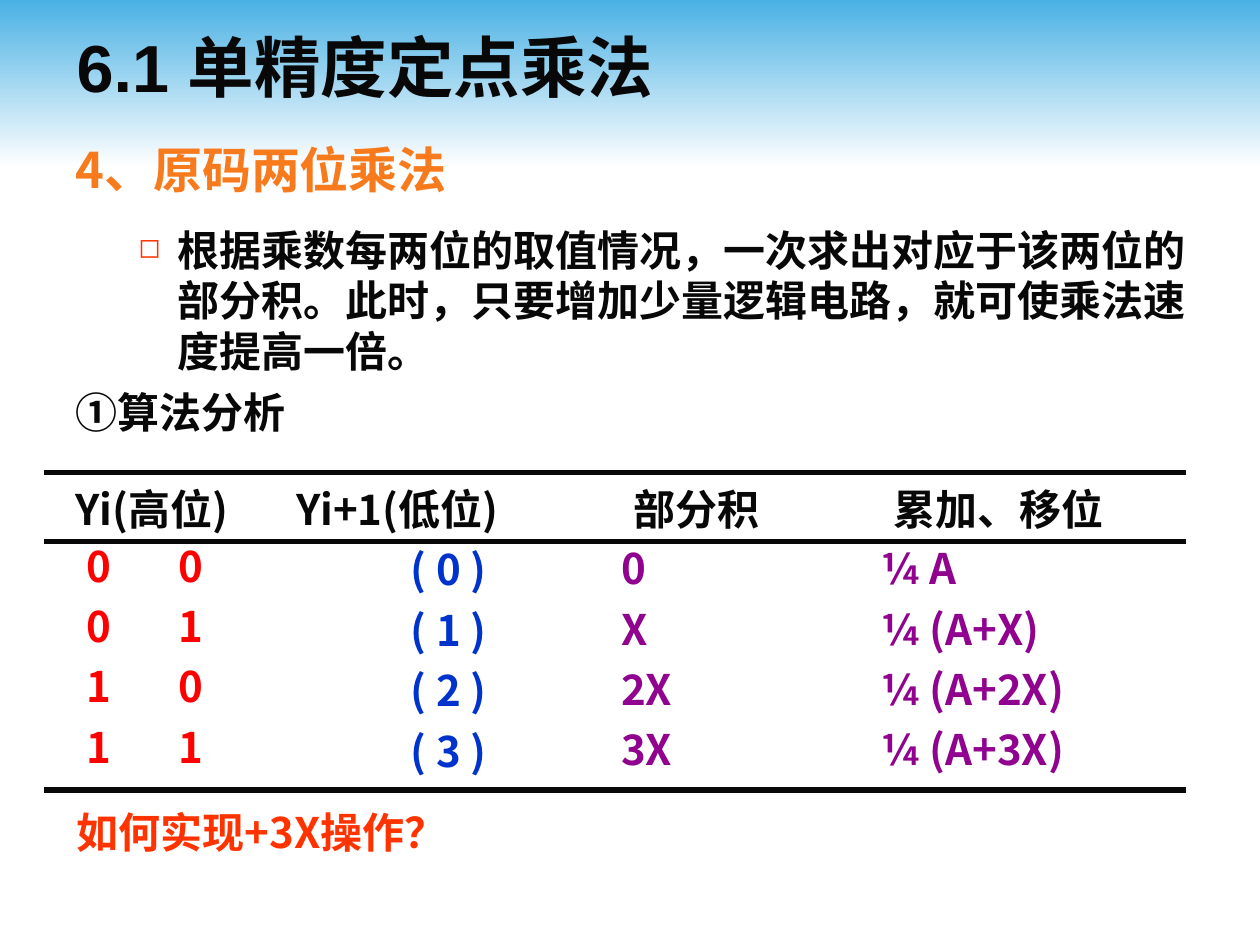
from lxml import etree
from pptx import Presentation, util as u
from pptx.dml.color import RGBColor
from pptx.enum import shapes, text
from pptx.oxml import ns

COLUMNS, ROWS = 100, 75
UNIT = u.Inches(0.1)
FONT = "Noto Sans CJK SC"
COLORS = {
    "sky": "4AB1E4", "white": "FFFFFF", "ink": "080808", "orange": "F77A1D",
    "red": "FF0000", "blue": "0033CC", "purple": "8F038F", "vermilion": "FF3300",
}
HEADERS = ["Yi(高位)", "", "Yi+1(低位)", "部分积", "累加、移位"]
CASES = [
    ["0", "0", "( 0 )", "0", "¼ A"],
    ["0", "1", "( 1 )", "X", "¼ (A+X)"],
    ["1", "0", "( 2 )", "2X", "¼ (A+2X)"],
    ["1", "1", "( 3 )", "3X", "¼ (A+3X)"],
]
CASE_COLORS = ["red", "red", "blue", "purple", "purple"]
COLUMN_WIDTHS = [9.7, 9.3, 23.5, 22, 26.1]
ROW_HEIGHTS = [5.5, 4.8, 4.8, 4.8, 5.3]
HEADER_INDENTS = [2.5, 0, 1, 4.3, 2.9]
HEADER_TOP = 1.15
CASE_INDENTS = [3.4, 1, 10.1, 3.3, 2]
CASE_TOPS = [0.1, 0.1, 0.4, 0.3, 0.3]


def grid(*lengths):
    """Turn grid columns or rows into lengths on the slide."""
    return [round(length * UNIT) for length in lengths]


def add_element(parent, tag, **attributes):
    """Append a DrawingML element and return it."""
    return etree.SubElement(parent, ns.qn(f"a:{tag}"), attributes)


def write(para, words, color, size=24, font=FONT):
    """Fill a paragraph with one bold run."""
    para.text = words
    for span in para.runs:
        span.font.size, span.font.bold, span.font.name = u.Pt(size), True, font
        span.font.color.rgb = RGBColor.from_string(COLORS[color])
        add_element(span.font._element, "ea", typeface=FONT)


def add_box(page, area):
    """Add a wrapping text box and return its frame."""
    frame = page.shapes.add_textbox(*grid(*area)).text_frame
    frame.word_wrap = True
    return frame


def add_banner(page, area):
    """Draw the gradient band."""
    band = page.shapes.add_shape(shapes.MSO_SHAPE.RECTANGLE, *grid(*area))
    band.shadow.inherit = False
    band.line.fill.background()
    band.fill.gradient()
    band.fill.gradient_angle = 270
    for stop, color in zip(band.fill.gradient_stops, ("sky", "white")):
        stop.color.rgb = RGBColor.from_string(COLORS[color])


def add_title(page, area):
    """Write the slide title."""
    frame = add_box(page, area)
    frame.vertical_anchor = text.MSO_ANCHOR.MIDDLE
    write(frame.paragraphs[0], "6.1 单精度定点乘法", "ink", 38, "Arial")


def add_body(page, area):
    """Write the section heading, its bullet and the subheading."""
    frame = add_box(page, area)
    heading = frame.paragraphs[0]
    write(heading, "4、原码两位乘法", "orange", 28)
    heading.line_spacing = 0.8

    bullet = frame.add_paragraph()
    properties = bullet._p.get_or_add_pPr()
    left, hanging = grid(8.1, -3.1)
    properties.set("marL", str(left))
    properties.set("indent", str(hanging))
    add_element(add_element(properties, "buClr"), "srgbClr", val=COLORS["vermilion"])
    add_element(properties, "buSzPct", val="65000")
    add_element(properties, "buChar", char="◻")
    write(bullet, "根据乘数每两位的取值情况，一次求出对应于该两位的部分积。"
          "此时，只要增加少量逻辑电路，就可使乘法速度提高一倍。", "ink")
    bullet.space_before = u.Pt(15)

    subheading = frame.add_paragraph()
    write(subheading, "①算法分析", "ink")
    subheading.space_before = u.Pt(6)


def add_rule(page, left, top, width):
    """Draw one horizontal rule of the table."""
    rule = page.shapes.add_connector(
        shapes.MSO_CONNECTOR.STRAIGHT, *grid(left, top, left + width, top))
    rule.line.width = u.Pt(3)
    rule.line.color.rgb = RGBColor.from_string(COLORS["ink"])
    add_element(rule._element.spPr, "effectLst")


def fill_cell(cell, words, color, indent, top):
    """Write one cell at its indent and top margin."""
    cell.fill.background()
    cell.margin_left, cell.margin_top = grid(indent, top)
    cell.margin_right = cell.margin_bottom = 0
    para = cell.text_frame.paragraphs[0]
    write(para, words, color)
    para.line_spacing = 0.8


def add_cases(page, left, top):
    """Build the ruled table of multiplier bits, partial products and shifts."""
    lines = [HEADERS] + CASES
    width, height = sum(COLUMN_WIDTHS), sum(ROW_HEIGHTS)
    table = page.shapes.add_table(
        len(lines), len(HEADERS), *grid(left, top, width, height)).table
    table.first_row = table.horz_banding = False
    for column, column_width in zip(table.columns, grid(*COLUMN_WIDTHS)):
        column.width = column_width
    for row, row_height in zip(table.rows, grid(*ROW_HEIGHTS)):
        row.height = row_height
    for y, line in enumerate(lines):
        for x, words in enumerate(line):
            cell = table.cell(y, x)
            if y:
                fill_cell(cell, words, CASE_COLORS[x], CASE_INDENTS[x], CASE_TOPS[x])
            else:
                fill_cell(cell, words, "ink", HEADER_INDENTS[x], HEADER_TOP)
    table.cell(0, 0).merge(table.cell(0, 1))
    for offset in (0, ROW_HEIGHTS[0], height):
        add_rule(page, left, top + offset, width)


def add_question(page, area):
    """Write the closing question."""
    write(add_box(page, area).paragraphs[0], "如何实现+3X操作？", "vermilion")


def main():
    """Build and save the slide."""
    deck = Presentation()
    deck.slide_width, deck.slide_height = grid(COLUMNS, ROWS)
    page = deck.slides.add_slide(deck.slide_layouts[6])
    add_banner(page, (0, 0, COLUMNS, 13.3))
    add_title(page, (5.1, 0.5, 90, 9.5))
    add_body(page, (5, 11.5, 91.5, 24))
    add_cases(page, 3.5, 37.5)
    add_question(page, (5.1, 63.5, 53.3, 5))
    deck.save("out.pptx")


if __name__ == "__main__":
    main()
